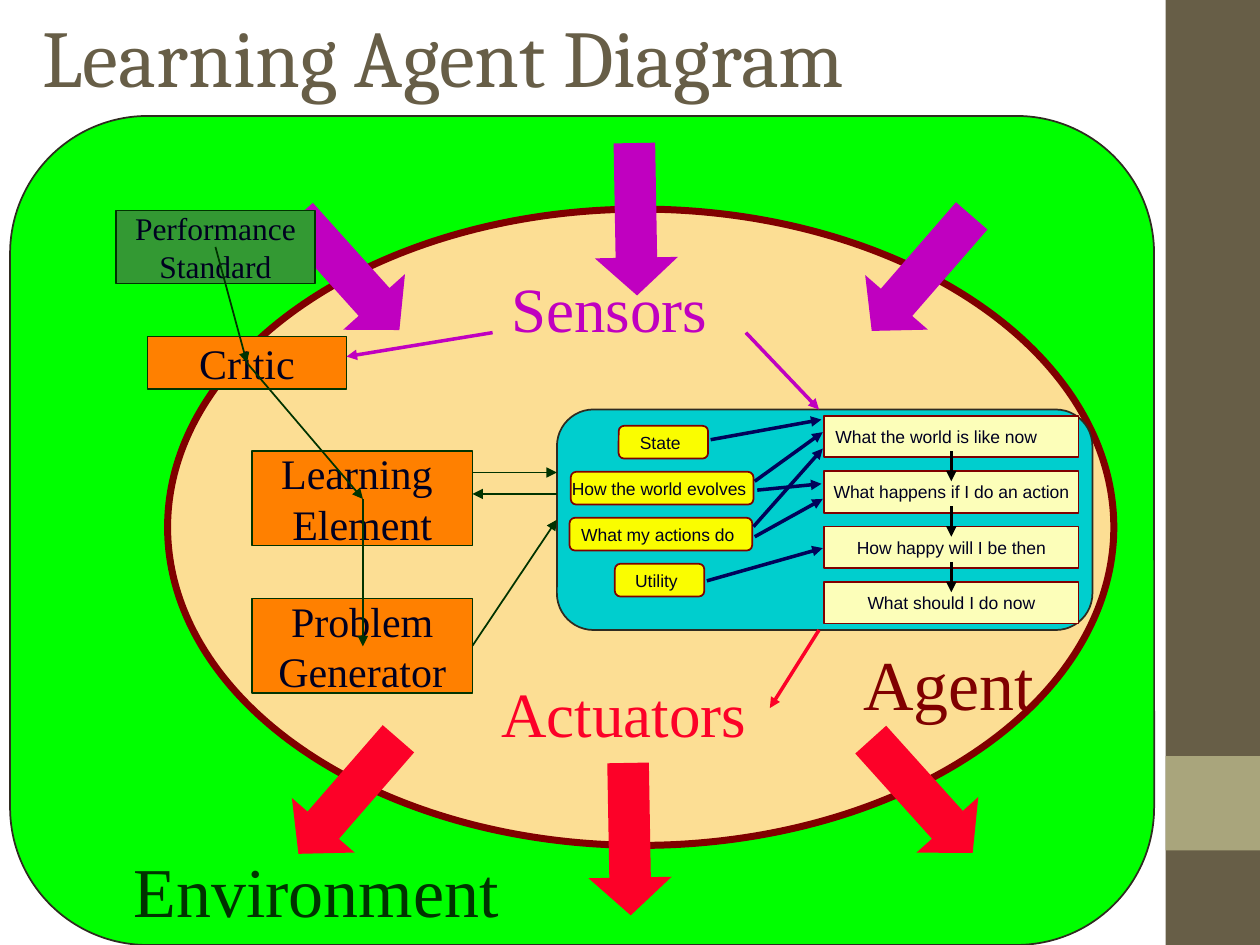
from lxml import etree
from pptx import Presentation
from pptx.dml.color import RGBColor
from pptx.enum.shapes import MSO_CONNECTOR, MSO_SHAPE
from pptx.enum.text import MSO_ANCHOR, PP_ALIGN
from pptx.oxml.ns import qn
from pptx.util import Cm, Pt

RECT, ROUND = MSO_SHAPE.RECTANGLE, MSO_SHAPE.ROUNDED_RECTANGLE
OVAL, ARROW = MSO_SHAPE.OVAL, MSO_SHAPE.RIGHT_ARROW
STRAIGHT = MSO_CONNECTOR.STRAIGHT
LEFT, CENTER = PP_ALIGN.LEFT, PP_ALIGN.CENTER
TOP, MIDDLE = MSO_ANCHOR.TOP, MSO_ANCHOR.MIDDLE
LEFT_SIDE, RIGHT_SIDE = 1, 3

BROWN = RGBColor(0x67, 0x5E, 0x47)
KHAKI = RGBColor(0xA9, 0xA5, 0x7C)
OUTLINE = RGBColor(0x2F, 0x2B, 0x20)
LIME = RGBColor(0x00, 0xFF, 0x00)
SAND = RGBColor(0xFC, 0xDE, 0x94)
MAROON = RGBColor(0x80, 0x00, 0x00)
PURPLE = RGBColor(0xC0, 0x00, 0xC0)
RED = RGBColor(0xFC, 0x01, 0x28)
DARK_GREEN = RGBColor(0x00, 0x33, 0x00)
GREEN = RGBColor(0x33, 0x99, 0x33)
ORANGE = RGBColor(0xFF, 0x80, 0x00)
CYAN = RGBColor(0x00, 0xCE, 0xCE)
CREAM = RGBColor(0xFC, 0xFE, 0xB9)
YELLOW = RGBColor(0xFA, 0xFD, 0x00)
NAVY = RGBColor(0x00, 0x02, 0x5A)
INK = RGBColor(0x00, 0x00, 0x20)
BLACK = RGBColor(0x00, 0x00, 0x00)

SERIF, SANS, HEADING = "Times New Roman", "Arial", "Cambria"

# All places below are in inches: left, top, width, height.
SIDEBAR = [((9.25, 0, 0.75, 7.5), BROWN), ((9.25, 6, 0.75, 0.75), KHAKI)]
LABELS = [
    ("Sensors", (4.06, 2.14, 1.9, 0.6), 36, PURPLE),
    ("Actuators", (3.98, 5.35, 2.3, 0.6), 36, RED),
    ("Agent", (6.85, 5.08, 1.6, 0.67), 40, MAROON),
    ("Environment", (1.06, 6.73, 3.41, 0.67), 40, DARK_GREEN),
]
BLOCK_ARROW_SIZE = (1.21, 0.66)
BLOCK_ARROWS = [  # left, top, rotation, colour
    (6.71, 1.84, 131, PURPLE), (2.16, 1.84, 48, PURPLE), (4.44, 1.41, 89, PURPLE),
    (6.71, 5.99, 48, RED), (2.16, 5.99, 131, RED), (4.39, 6.33, 89, RED),
]
PANEL = (4.42, 3.25, 4.25, 1.75)
STEPS = ["What the world is like now", "What happens if I do an action",
         "How happy will I be then", "What should I do now"]
STEP_LEFT, STEP_TOP, STEP_PITCH = 6.54, 3.3, 0.44
STEP_WIDTH, STEP_HEIGHT = 2.02, 0.33
KNOWLEDGE = [  # text, left, width
    ("State", 4.91, 0.71), ("How the world evolves", 4.53, 1.45),
    ("What my actions do", 4.52, 1.45), ("Utility", 4.88, 0.71),
]
KNOWLEDGE_TOP, KNOWLEDGE_PITCH, KNOWLEDGE_HEIGHT = 3.38, 0.365, 0.26
KNOWLEDGE_LINKS = [
    ((5.64, 3.49), (6.52, 3.33)), ((5.61, 4.61), (6.53, 4.35)),
    ((5.99, 3.82), (6.53, 3.43)), ((6.01, 3.89), (6.52, 3.84)),
    ((5.98, 4.18), (6.53, 3.56)), ((5.99, 4.26), (6.53, 3.96)),
]
COMPONENTS = [
    (["Critic"], (1.17, 2.67, 1.58, 0.42), ORANGE, 24),
    (["Learning ", "Element"], (2, 3.58, 1.75, 0.75), ORANGE, 24),
    (["Problem", "Generator"], (2, 4.75, 1.75, 0.75), ORANGE, 24),
    (["Performance", "Standard"], (0.92, 1.67, 1.58, 0.58), GREEN, 18),
]
SIGNALS = [
    ((5.92, 2.64), (6.5, 3.25), PURPLE), ((6.5, 5), (6.11, 5.62), RED),
    ((3.91, 2.64), (2.75, 2.83), PURPLE),
]
LEARNING_LINKS = [
    ((1.71, 1.96), (1.96, 2.88)), ((1.96, 2.88), (2.88, 3.96)),
    ((2.88, 3.96), (2.88, 5.13)), ((3.75, 3.75), (4.42, 3.75)),
    ((4.42, 3.92), (3.75, 3.92)),
]


def lengths(values):
    """Turn inches into slide lengths."""
    return [Cm(2.54 * v) for v in values]


def add_block(s, kind, place, fill, line=None, width=1):
    sp = s.shapes.add_shape(kind, *lengths(place))
    sp.shadow.inherit = False
    sp.fill.solid()
    sp.fill.fore_color.rgb = fill
    if line is None:
        sp.line.fill.background()
    else:
        sp.line.color.rgb = line
        sp.line.width = Pt(width)
    if kind == ROUND:
        sp.adjustments[0] = 0.166
    return sp


def set_text(sp, lines, font, size, color, align=CENTER, anchor=MIDDLE,
             left=0, right=0, wrap=False):
    tf = sp.text_frame
    tf.word_wrap = wrap
    tf.vertical_anchor = anchor
    tf.margin_left, tf.margin_right = lengths((left, right))
    tf.margin_top = tf.margin_bottom = 0
    for i, line in enumerate(lines):
        p = tf.add_paragraph() if i else tf.paragraphs[0]
        p.alignment = align
        r = p.add_run()
        r.text = line
        r.font.name = font
        r.font.size = Pt(size)
        r.font.color.rgb = color


def add_arrow(s, start, end, color, width=2):
    c = s.shapes.add_connector(STRAIGHT, *lengths(start + end))
    c.line.color.rgb = color
    c.line.width = Pt(width)
    etree.SubElement(c.line._get_or_add_ln(), qn("a:tailEnd"), type="triangle")
    etree.SubElement(c._element.spPr, qn("a:effectLst"))
    return c


def add_surroundings(s):
    for place, color in SIDEBAR:
        add_block(s, RECT, place, color)
    title = s.shapes.add_textbox(*lengths((0.24, 0, 9.42, 0.88)))
    set_text(title, ["Learning Agent Diagram"], HEADING, 46, BROWN, LEFT,
             left=0.1, right=0.14, wrap=True)
    add_block(s, ROUND, (0.08, 0.92, 9.08, 6.58), LIME, OUTLINE)
    add_block(s, OVAL, (1.33, 1.66, 7.51, 5.05), SAND, MAROON, 4)
    for left, top, rotation, color in BLOCK_ARROWS:
        sp = add_block(s, ARROW, (left, top, *BLOCK_ARROW_SIZE), color)
        sp.adjustments[1] = 0.455
        sp.rotation = rotation
    for text, place, size, color in LABELS:
        box = s.shapes.add_textbox(*lengths(place))
        set_text(box, [text], SERIF, size, color, LEFT, TOP)


def add_panel(s):
    panel = add_block(s, ROUND, PANEL, CYAN, OUTLINE)
    for i, text in enumerate(STEPS):
        top = STEP_TOP + i * STEP_PITCH
        sp = add_block(s, RECT, (STEP_LEFT, top, STEP_WIDTH, STEP_HEIGHT), CREAM, MAROON)
        set_text(sp, [text], SANS, 10, INK, CENTER if i else LEFT, left=0 if i else 0.09)
    middle = STEP_LEFT + STEP_WIDTH / 2
    for i in range(len(STEPS) - 1):
        top = STEP_TOP + 0.28 + i * STEP_PITCH
        add_arrow(s, (middle, top), (middle, top + 0.24), BLACK)
    for i, (text, left, width) in enumerate(KNOWLEDGE):
        top = KNOWLEDGE_TOP + i * KNOWLEDGE_PITCH
        sp = add_block(s, ROUND, (left, top, width, KNOWLEDGE_HEIGHT), YELLOW, MAROON)
        set_text(sp, [text], SANS, 10, INK, right=0.05)
    for start, end in KNOWLEDGE_LINKS:
        add_arrow(s, start, end, NAVY)
    return panel


def add_learning_parts(s, panel):
    blocks = {}
    for lines, place, fill, size in COMPONENTS:
        sp = add_block(s, RECT, place, fill, DARK_GREEN)
        set_text(sp, lines, SERIF, size, INK)
        blocks[lines[0]] = sp
    for start, end, color in SIGNALS:
        add_arrow(s, start, end, color)
    for start, end in LEARNING_LINKS:
        add_arrow(s, start, end, DARK_GREEN, 1)
    c = add_arrow(s, (3.75, 5.13), (4.42, 4.13), DARK_GREEN, 1)
    c.begin_connect(blocks["Problem"], RIGHT_SIDE)
    c.end_connect(panel, LEFT_SIDE)


def main():
    prs = Presentation()
    prs.slide_width, prs.slide_height = Cm(25.4), Cm(19.05)
    s = prs.slides.add_slide(prs.slide_layouts[6])
    add_surroundings(s)
    add_learning_parts(s, add_panel(s))
    prs.save("out.pptx")


if __name__ == "__main__":
    main()
